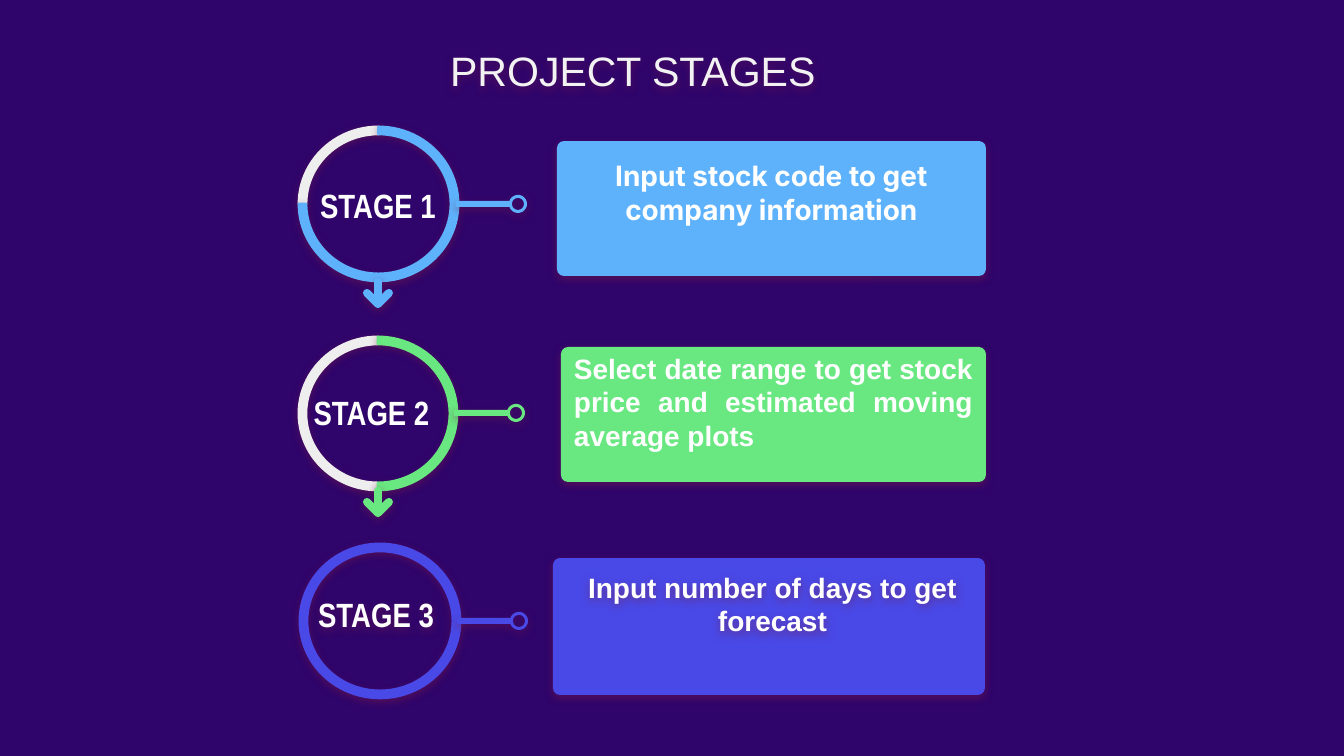
from math import asin, cos, pi, sin

from lxml import etree
from pptx import Presentation
from pptx.dml.color import RGBColor
from pptx.enum.shapes import MSO_SHAPE
from pptx.enum.text import MSO_ANCHOR, PP_ALIGN
from pptx.oxml.ns import qn
from pptx.util import Pt

ARC, DONUT, CARD = MSO_SHAPE.BLOCK_ARC, MSO_SHAPE.DONUT, MSO_SHAPE.ROUNDED_RECTANGLE
TOP, MIDDLE = MSO_ANCHOR.TOP, MSO_ANCHOR.MIDDLE
CENTER, JUSTIFY = PP_ALIGN.CENTER, PP_ALIGN.JUSTIFY

COLORS = {
    "background": "2F046B", "title": "F2F2F2", "text": "FFFFFF", "rest": "EEEEEE",
    "blue": "5EB2FC", "green": "69E781", "violet": "4949E7", "shadow": "741B47",
}
TITLE = "PROJECT STAGES "
TITLE_BOX = (418, 8, 441, 101)
STAGES = [
    {"label": "STAGE 1", "label_box": (299, 172, 158, 67), "anchor": MIDDLE,
     "color": "blue", "ring": (299, 127, 159, 154), "done_until": 180,
     "pointer": (456, 195), "arrow": (378, 282), "card": (557, 141, 429, 135),
     "text": "Input stock code to get company information",
     "font": "Inter", "align": CENTER, "inset": 16},
    {"label": "STAGE 2", "label_box": (299, 379, 145, 67), "anchor": MIDDLE,
     "color": "green", "ring": (299, 337, 158, 153), "done_until": 90,
     "pointer": (454, 404), "arrow": (378, 491), "card": (561, 347, 425, 135),
     "text": "Select date range to get stock price and estimated moving average plots",
     "font": "Arial", "align": JUSTIFY, "inset": 2},
    {"label": "STAGE 3", "label_box": (302, 581, 148, 67), "anchor": TOP,
     "color": "violet", "ring": (300, 544, 160, 154), "done_until": None,
     "pointer": (457, 612), "arrow": None, "card": (553, 558, 432, 137),
     "text": "Input number of days to get forecast",
     "font": "Arial", "align": CENTER, "text_box": (559, 557, 427, 141), "inset": 13},
]
PX = 914400 / 134.4
FINE = 10
RING_WIDTH, RADIUS, ARROW_WIDTH = 7, 7, 8
POINTER_LENGTH, STEM_HALF, DOT_RADIUS, HOLE_RADIUS = 71, 3, 9, 6
STEPS = 36


def px(value):
    return round(value * PX)


def rgb(name):
    return RGBColor.from_string(COLORS[name])


def add_shadow(item):
    effects = etree.SubElement(item._element.spPr, qn("a:effectLst"))
    outer = etree.SubElement(effects, qn("a:outerShdw"), blurRad=str(Pt(4.5)),
                             dist=str(Pt(1.5)), dir="5400000", algn="bl", rotWithShape="0")
    tone = etree.SubElement(outer, qn("a:srgbClr"), val=COLORS["shadow"])
    etree.SubElement(tone, qn("a:alpha"), val="50000")


def paint(shape, color, outlined=False):
    shape.fill.solid()
    shape.fill.fore_color.rgb = rgb(color)
    if outlined:
        shape.line.color.rgb = rgb(color)
        shape.line.width = Pt(1.5)
    else:
        shape.line.fill.background()
    add_shadow(shape)


def add_filled(kind, box, color, adjustments, outlined=False):
    shape = slide.shapes.add_shape(kind, *map(px, box))
    for index, value in enumerate(adjustments):
        shape.adjustments[index] = value
    paint(shape, color, outlined)
    return shape


def write(shape, text, font, size, color="text", bold=True, align=CENTER,
          anchor=TOP, inset=13, side=13, spacing=None):
    frame = shape.text_frame
    frame.word_wrap = True
    frame.vertical_anchor = anchor
    frame.margin_left = frame.margin_right = px(side)
    frame.margin_top = px(inset)
    frame.margin_bottom = px(13)
    frame.text = text
    paragraph = frame.paragraphs[0]
    paragraph.alignment = align
    if spacing:
        paragraph.line_spacing = spacing
    run_font = paragraph.runs[0].font
    run_font.name, run_font.size, run_font.bold = font, Pt(size), bold
    run_font.color.rgb = rgb(color)


def add_text_box(box):
    return slide.shapes.add_textbox(*map(px, box))


def add_ring(ring, color, done_until):
    width = RING_WIDTH / min(ring[2:])
    if done_until is None:
        add_filled(DONUT, ring, color, [width], True)
        return
    for tone, start, end in (("rest", done_until, 270), (color, 270, done_until)):
        add_filled(ARC, ring, tone, [start * 0.6, end * 0.6, width], True)


def circle(x, y, radius, start, end):
    angles = (start + (end - start) * step / STEPS for step in range(STEPS + 1))
    return [((x + radius * cos(a)) * FINE, (y + radius * sin(a)) * FINE) for a in angles]


def add_pointer(left, top, color):
    x, y = left + POINTER_LENGTH - DOT_RADIUS, top + DOT_RADIUS
    gap = asin(STEM_HALF / DOT_RADIUS)
    rim = circle(x, y, DOT_RADIUS, pi + gap, 3 * pi - gap)
    hole = circle(x, y, HOLE_RADIUS, 2 * pi, 0)
    builder = slide.shapes.build_freeform(left * FINE, (y - STEM_HALF) * FINE, scale=PX / FINE)
    builder.add_line_segments(rim + [(left * FINE, (y + STEM_HALF) * FINE)])
    builder.move_to(*hole[0])
    builder.add_line_segments(hole[1:])
    paint(builder.convert_to_shape(), color)


def add_down_arrow(x, y, color):
    builder = slide.shapes.build_freeform(x, y, scale=PX)
    builder.add_line_segments([(x, y + 22)], close=False)
    builder.move_to(x - 11, y + 11)
    builder.add_line_segments([(x, y + 22), (x + 11, y + 11)], close=False)
    arrow = builder.convert_to_shape()
    arrow.fill.background()
    arrow.line.color.rgb = rgb(color)
    arrow.line.width = px(ARROW_WIDTH)
    line = arrow._element.spPr.find(qn("a:ln"))
    line.set("cap", "rnd")
    etree.SubElement(line, qn("a:round"))
    add_shadow(arrow)


deck = Presentation()
deck.slide_width, deck.slide_height = px(1344), px(756)
slide = deck.slides.add_slide(deck.slide_layouts[6])
slide.background.fill.solid()
slide.background.fill.fore_color.rgb = rgb("background")

title = add_text_box(TITLE_BOX)
add_shadow(title)
write(title, TITLE, "Arial", 22, "title", bold=False, spacing=1.5)

for stage in STAGES:
    color = stage["color"]
    add_ring(stage["ring"], color, stage["done_until"])
    add_pointer(*stage["pointer"], color)
    if stage["arrow"]:
        add_down_arrow(*stage["arrow"], color)

    label = add_text_box(stage["label_box"])
    write(label, stage["label"], "Arial Narrow", 18, anchor=stage["anchor"])

    card = add_filled(CARD, stage["card"], color, [RADIUS / stage["card"][3]])
    holder, side = card, 11
    if "text_box" in stage:
        holder, side = add_text_box(stage["text_box"]), 13
        add_shadow(holder)
        add_shadow(label)
    write(holder, stage["text"], stage["font"], 15, align=stage["align"],
          inset=stage["inset"], side=side)

deck.save("out.pptx")
